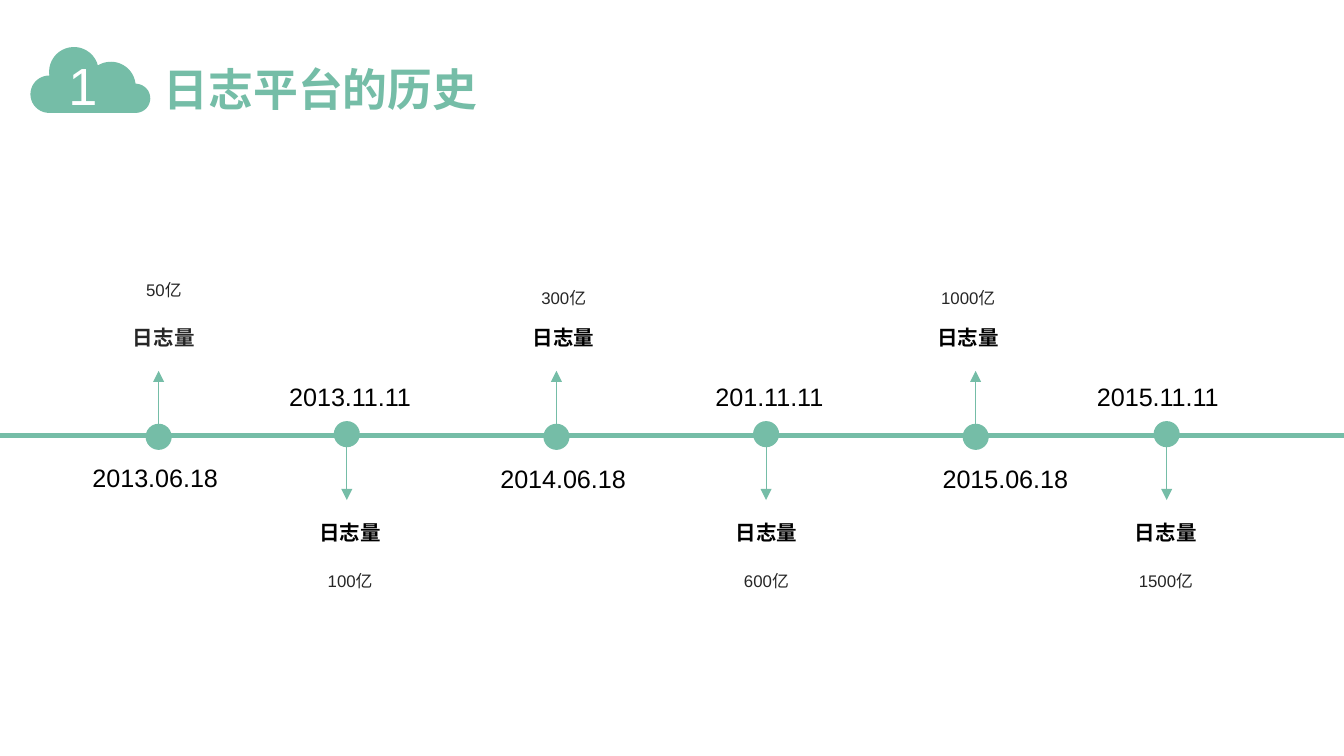
from math import cos, sin, radians

from lxml.etree import SubElement as Sub
from pptx import Presentation
from pptx.dml.color import RGBColor as Rgb
from pptx.enum.shapes import MSO_CONNECTOR as Link, MSO_SHAPE as Kind
from pptx.enum.text import MSO_AUTO_SIZE as Fit, PP_ALIGN as Align
from pptx.oxml.ns import qn
from pptx.util import Pt

HUES = {"mint": "75BDA7", "ink": "262626", "black": "000000", "white": "FFFFFF"}
SANS, HAN = "Arial", "Noto Sans CJK SC"
FORMS = {
    "title": {"size": Pt(24), "name": HAN, "bold": True},
    "num": {"size": Pt(28), "name": SANS},
    "date": {"size": Pt(13.5), "name": SANS},
    "label": {"size": Pt(11), "name": SANS, "bold": True},
    "first": {"size": Pt(11), "name": HAN, "bold": True},
    "count": {"size": Pt(9), "name": SANS},
}
AXIS = 233.3
DOT = 13
ARROW = 28.8
WIDE = 167.4
CLOUD = [
    (26.3, 50.5, 10, 90, 270),
    (39.6, 38.5, 13.3, 172, 346),
    (59.4, 46.4, 13.3, 238, 353),
    (72.7, 52.7, 7.8, 275, 450),
]
EVENTS = [
    (85, "2013.06.18", 83.2, 244, "50亿", 144, 87.8, True),
    (185.8, "2013.11.11", 187.6, 200.9, "100亿", 300.2, 187.6, False),
    (298.1, "2014.06.18", 301.7, 244.8, "300亿", 148.3, 302, True),
    (410.4, "201.11.11", 412.2, 200.9, "600亿", 300.2, 410.6, False),
    (522.7, "2015.06.18", 538.6, 244.8, "1000亿", 148.3, 518.7, True),
    (625, "2015.11.11", 620.3, 200.9, "1500亿", 300.2, 624.6, False),
]


class Deck:
    def __init__(self, wide, high):
        self.show = Presentation()
        self.show.slide_width, self.show.slide_height = Pt(wide), Pt(high)
        self.slide = self.show.slides.add_slide(self.show.slide_layouts[6])
        self.items = self.slide.shapes

    def hue(self, name):
        return Rgb.from_string(HUES[name])

    def paint(self, shape, width=None):
        shape.shadow.inherit = False
        shape.fill.solid()
        shape.fill.fore_color.rgb = self.hue("mint")
        if width:
            shape.line.color.rgb = self.hue("mint")
            shape.line.width = Pt(width)
        else:
            shape.line.fill.background()

    def text(self, words, box, form, hue="black", align=Align.CENTER, fit=Fit.SHAPE_TO_FIT_TEXT, space=None):
        frame = self.items.add_textbox(*map(Pt, box)).text_frame
        frame.word_wrap, frame.auto_size = True, fit
        para = frame.paragraphs[0]
        para.alignment, para.line_spacing = align, space
        run = para.add_run()
        run.text = words
        for key, value in FORMS[form].items():
            setattr(run.font, key, value)
        run.font.color.rgb = self.hue(hue)
        Sub(run.font._element, qn("a:ea"), typeface=HAN)

    def line(self, start, end, width, head=False):
        link = self.items.add_connector(Link.STRAIGHT, *map(Pt, start + end))
        link.line.color.rgb = self.hue("mint")
        link.line.width = Pt(width)
        if head:
            Sub(link.line._get_or_add_ln(), qn("a:tailEnd"), type="triangle")
        Sub(link._element.spPr, qn("a:effectLst"))

    def dot(self, x, y):
        box = (x - DOT / 2, y - DOT / 2, DOT, DOT)
        self.paint(self.items.add_shape(Kind.OVAL, *map(Pt, box)), 1)

    def cloud(self, arcs, step=20):
        spots = []
        for x, y, r, first, last in arcs:
            for i in range(step + 1):
                turn = radians(first + (last - first) * i / step)
                spots.append((Pt(x + r * cos(turn)), Pt(y + r * sin(turn))))
        pen = self.items.build_freeform(*spots[0])
        pen.add_line_segments(spots[1:], close=True)
        self.paint(pen.convert_to_shape())

    def event(self, x, date, date_x, date_y, count, count_y, mid, up, form):
        sign = -1 if up else 1
        y = AXIS + (0.7 if up else -0.7)
        edge = y + sign * DOT / 2
        self.dot(x, y)
        self.line((x, edge), (x, edge + sign * ARROW), 0.5, head=True)
        self.text(date, (date_x - 50, date_y, 100, 23.8), "date")
        left = mid - WIDE / 2
        self.text(count, (left, count_y, WIDE, 20), "count", "ink", fit=Fit.NONE, space=1.2)
        hue = "ink" if form == "first" else "black"
        self.text("日志量", (left, 170.6 if up else 275, WIDE, 20.9), form, hue)


def main():
    deck = Deck(720, 405)
    deck.cloud(CLOUD)
    deck.text("1", (29.5, 25.2, 37.4, 41), "num", "white", Align.LEFT)
    deck.text("日志平台的历史", (80.6, 29.5, 270.7, 36), "title", "mint", Align.LEFT)
    deck.line((0, AXIS), (720, AXIS), 2.25)
    for i, event in enumerate(EVENTS):
        deck.event(*event, form="label" if i else "first")
    deck.show.save("out.pptx")


if __name__ == "__main__":
    main()
